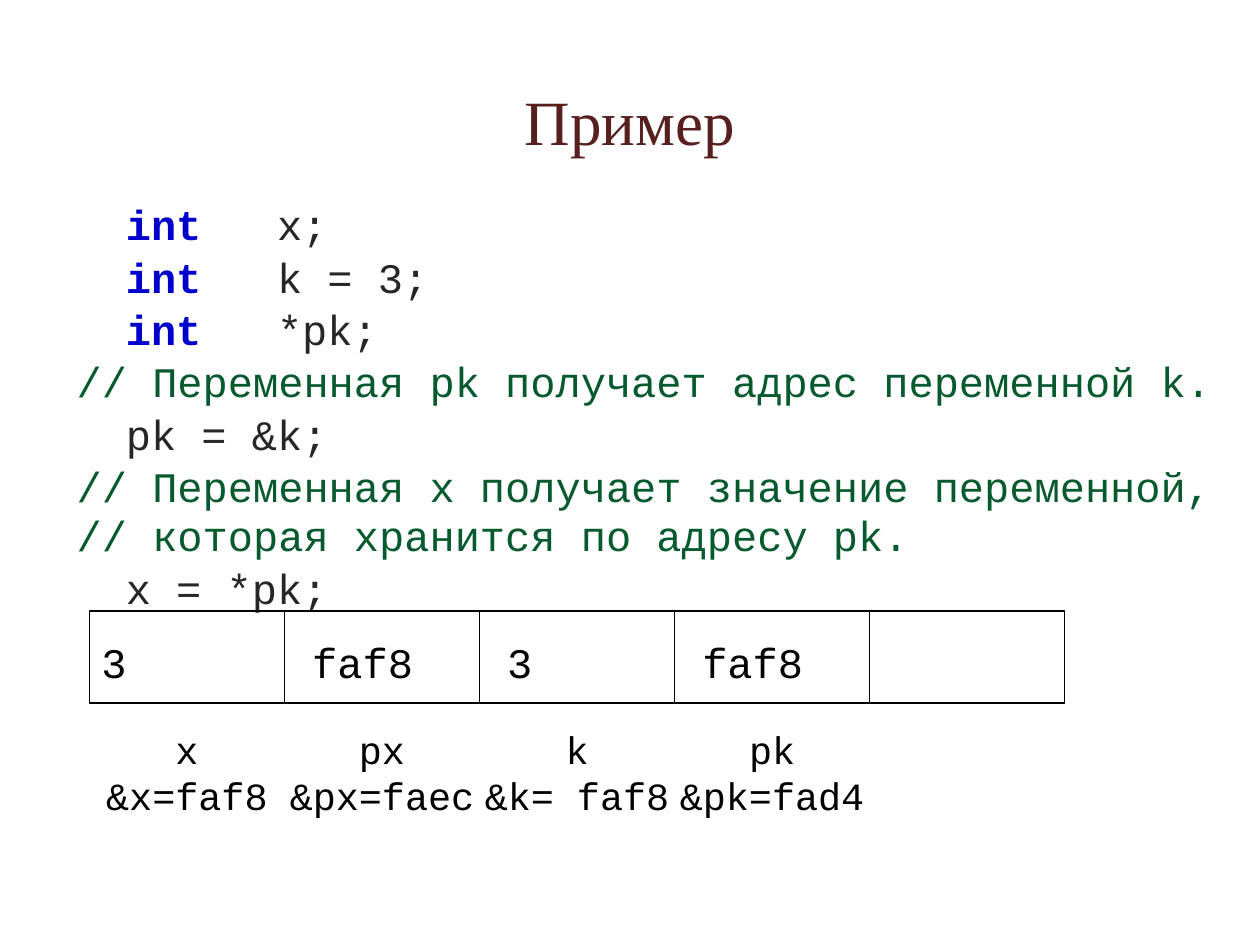
from pptx import Presentation
from pptx.dml.color import RGBColor
from pptx.enum.shapes import MSO_SHAPE
from pptx.enum.text import MSO_ANCHOR as Anchor, PP_ALIGN as Align
from pptx.util import Inches, Pt

MONO = "Courier New"
KEYWORD, CODE, COMMENT, BLACK = "0000CC", "262626", "07592E", "000000"
CODE_LINES = [
    ("int", "   x;"),
    ("int", "   k = 3;"),
    ("int", "   *pk;"),
    ("", "// Переменная pk получает адрес переменной k."),
    ("", "pk = &k;"),
    ("", "// Переменная x получает значение переменной,\v// которая хранится по адресу pk."),
    ("", "x = *pk;"),
]
CELLS = [
    ((" ", "3"), ("x", "&x=faf8")),
    ((" faf8",), ("px", "&px=faec")),
    ((" 3",), ("k", "&k= faf8")),
    ((" faf8",), ("pk", "&pk=fad4")),
    ((), ()),
]


def color(value):
    """Turn a hex string into a colour."""
    return RGBColor.from_string(value)


def style(run, size, font=MONO, fill=BLACK, bold=False):
    """Set the look of a run."""
    run.font.size = Pt(size)
    run.font.name = font
    run.font.color.rgb = color(fill)
    run.font.bold = bold


def set_frame(text_frame, anchor, horizontal, top, bottom):
    """Set wrapping, anchor and insets of a text frame."""
    text_frame.word_wrap = True
    text_frame.vertical_anchor = anchor
    text_frame.margin_left = text_frame.margin_right = Inches(horizontal)
    text_frame.margin_top, text_frame.margin_bottom = Inches(top), Inches(bottom)


def add_text_box(slide, box, anchor, horizontal, vertical):
    """Add a text box and return its frame."""
    text_frame = slide.shapes.add_textbox(*map(Inches, box)).text_frame
    set_frame(text_frame, anchor, horizontal, vertical, vertical)
    return text_frame


def add_paragraphs(text_frame, count):
    """Return the given number of paragraphs of a new frame."""
    return [text_frame.paragraphs[0]] + [text_frame.add_paragraph() for _ in range(count - 1)]


def add_title(slide, box, text):
    """Add the centred title."""
    text_frame = add_text_box(slide, box, Anchor.MIDDLE, 0.1, 0.05)
    text_frame.text = text
    paragraph = text_frame.paragraphs[0]
    paragraph.alignment = Align.CENTER
    style(paragraph.runs[0], 36, "Times New Roman", "57201F")


def add_code(slide, box, lines):
    """Add the listing, with statements indented and comments flush left."""
    text_frame = add_text_box(slide, box, Anchor.TOP, 0.1, 0.05)
    for paragraph, (keyword, rest) in zip(add_paragraphs(text_frame, len(lines)), lines):
        is_comment = rest.startswith("//")
        paragraph.text = rest if not keyword else keyword
        for run in paragraph.runs:
            style(run, 24, fill=KEYWORD if keyword else COMMENT if is_comment else CODE, bold=bool(keyword))
        if keyword:
            run = paragraph.add_run()
            run.text = rest
            style(run, 24, fill=CODE)
        paragraph.alignment = Align.LEFT
        paragraph.line_spacing = 0.97
        paragraph.space_before = Pt(2)
        if not is_comment:
            paragraph._p.get_or_add_pPr().set("indent", str(Inches(0.39)))


def add_cell(slide, box, parts):
    """Add one memory cell with its value."""
    shape = slide.shapes.add_shape(MSO_SHAPE.RECTANGLE, *map(Inches, box))
    shape.shadow.inherit = False
    shape.fill.background()
    shape.line.color.rgb = color(BLACK)
    shape.line.width = Pt(0.75)
    set_frame(shape.text_frame, Anchor.MIDDLE, 0.02, 0.08, 0.01)
    paragraph = shape.text_frame.paragraphs[0]
    paragraph.alignment = Align.LEFT
    paragraph.space_after = Pt(10)
    for part in parts:
        run = paragraph.add_run()
        run.text = part
        style(run, 24, MONO if part.strip() else "Calibri")


def add_label(slide, box, lines):
    """Add the name and address under a memory cell."""
    text_frame = add_text_box(slide, box, Anchor.MIDDLE, 0.02, 0.01)
    for paragraph, line in zip(add_paragraphs(text_frame, len(lines)), lines):
        paragraph.text = line
        paragraph.alignment = Align.CENTER
        style(paragraph.runs[0], 22)


def add_memory(slide, box, cells):
    """Add the row of memory cells with labels below."""
    left, top, width, height = box
    cell_width, cell_height = width / len(cells), 0.73
    for index, (value, label) in enumerate(cells):
        cell_left = left + index * cell_width
        add_cell(slide, (cell_left, top, cell_width, cell_height), value)
        if label:
            add_label(slide, (cell_left, top + cell_height, cell_width, height - cell_height), label)


def main():
    """Build and save the slide."""
    presentation = Presentation()
    presentation.slide_width, presentation.slide_height = Inches(10), Inches(7.5)
    slide = presentation.slides.add_slide(presentation.slide_layouts[6])
    add_title(slide, (0.75, 0.15, 8.5, 1.61), "Пример")
    add_code(slide, (0.51, 1.55, 9.49, 3.12), CODE_LINES)
    add_memory(slide, (0.71, 4.85, 7.74, 1.82), CELLS)
    presentation.save("out.pptx")


main()
